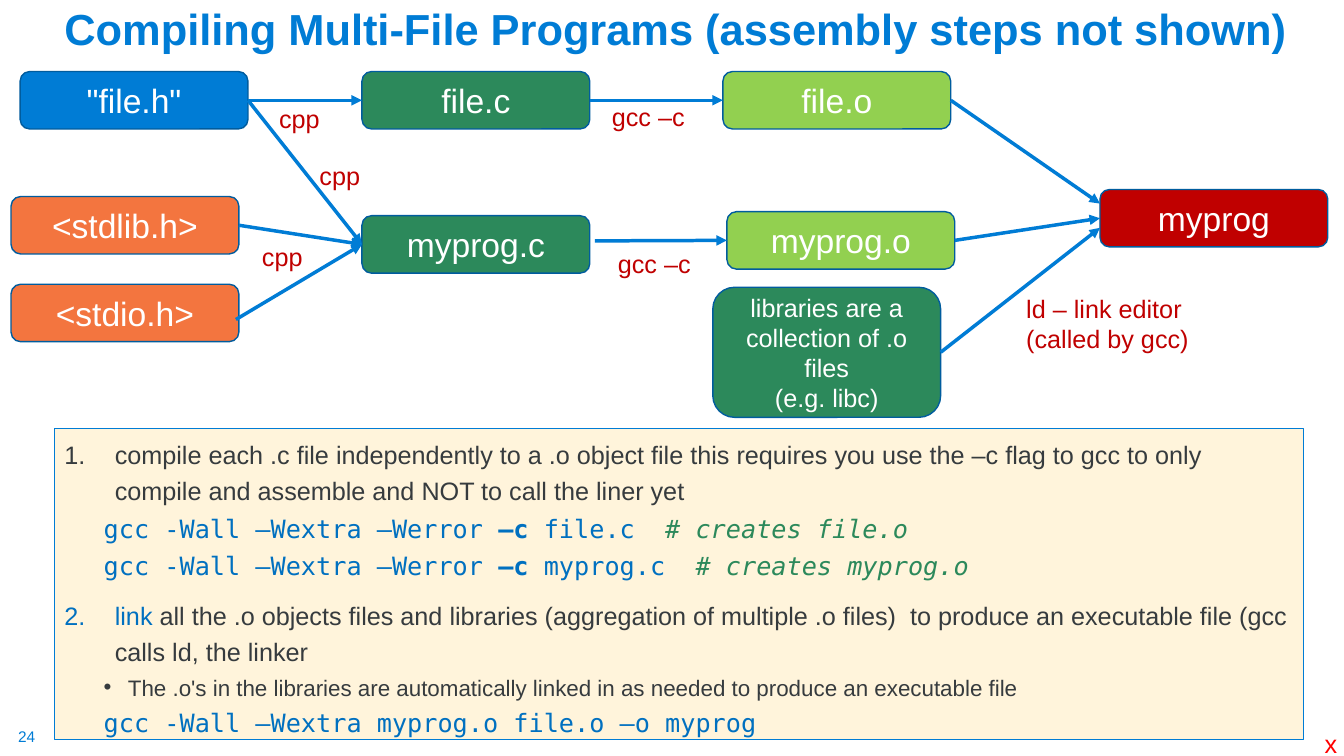
from dataclasses import dataclass
from lxml.etree import SubElement
from pptx import Presentation
from pptx.dml.color import RGBColor
from pptx.enum.shapes import MSO_CONNECTOR as Wire, MSO_SHAPE as Form
from pptx.enum.text import MSO_ANCHOR as Anchor, PP_ALIGN as Align
from pptx.oxml.ns import qn
from pptx.util import Inches, Pt


@dataclass(frozen=True)
class Theme:
    font: str = "Arial"
    mono: str = "DejaVu Sans Mono"
    blue: str = "007CD5"
    edge: str = "005C9E"
    code: str = "0070C0"
    green: str = "2C895B"
    lime: str = "92D050"
    orange: str = "F3753F"
    red: str = "C00000"
    alert: str = "FF0000"
    ink: str = "363B3E"
    cream: str = "FFF4DB"
    white: str = "FFFFFF"
    head: int = 31
    node: int = 24
    body: int = 18
    sub: int = 16
    page: int = 11


T = Theme()
WIDE, HIGH = 2.26, 0.57

TITLE = "Compiling Multi-File Programs (assembly steps not shown)"
# key: lines, left, top, height, fill, size
NODES = {
    "file.h": (['"file.h"'], 0.2, 0.71, HIGH, T.blue, T.node),
    "file.c": (["file.c"], 3.59, 0.71, HIGH, T.green, T.node),
    "file.o": (["file.o"], 7.17, 0.71, HIGH, T.lime, T.node),
    "stdlib": (["<stdlib.h>"], 0.11, 1.95, HIGH, T.orange, T.node),
    "stdio": (["<stdio.h>"], 0.11, 2.82, HIGH, T.orange, T.node),
    "myprog.c": (["myprog.c"], 3.59, 2.14, HIGH, T.green, T.node),
    "myprog.o": (["myprog.o"], 7.21, 2.1, HIGH, T.lime, T.node),
    "myprog": (["myprog"], 10.91, 1.88, HIGH, T.red, T.node),
    "libs": (["libraries are a", "collection of .o files", "(e.g. libc)"],
             7.07, 2.85, 1.29, T.green, T.body),
}
# each end is a node (right side to left side) or a free point
ARROWS = [
    ("file.h", "file.c"),
    ("file.h", "myprog.c"),
    ("stdlib", "myprog.c"),
    ((2.34, 3.17), "myprog.c"),
    ("file.c", "file.o"),
    ((5.9, 2.39), "myprog.o"),
    ("file.o", (10.91, 2.02)),
    ("myprog.o", "myprog"),
    ("libs", (10.91, 2.26)),
]
# lines, left, top, width, height, colour
LABELS = [
    (["cpp"], 2.67, 0.98, 0.61, 0.4, T.red),
    (["cpp"], 3.07, 1.54, 0.61, 0.4, T.red),
    (["cpp"], 2.5, 2.34, 0.61, 0.4, T.red),
    (["gcc –c"], 5.97, 0.96, 1, 0.4, T.red),
    (["gcc –c"], 6.03, 2.41, 1, 0.4, T.red),
    (["ld – link editor", "(called by gcc)"], 10.08, 2.86, 1.83, 0.71, T.red),
    (["x"], 13.04, 7.18, 0.33, 0.4, T.alert),
]
GCC = "gcc -Wall –Wextra –Werror "
# kind, runs of (text, style)
STEPS = [
    ("step", [("compile each .c file independently to a .o object file this "
               "requires you use the –c flag to gcc to only compile and "
               "assemble and NOT to call the liner yet", "plain")]),
    ("code", [(GCC, "code"), ("–c ", "flag"), ("file.c  ", "code"),
              ("# creates file.o", "note")]),
    ("code", [(GCC, "code"), ("–c ", "flag"), ("myprog.c  ", "code"),
              ("# creates myprog.o", "note")]),
    ("step", [("link", "code"),
              (" all the .o objects files and libraries (aggregation of "
               "multiple .o files)  to produce an executable file "
               "(gcc calls ld, the linker", "plain")]),
    ("point", [("The .o's in the libraries are automatically linked in as "
                "needed to produce an executable file", "plain")]),
    ("code", [("gcc -Wall –Wextra myprog.o file.o –o myprog", "code")]),
]
# margin, indent, level, line spacing, space before, font, size
KINDS = {
    "step": (0.5, -0.5, 0, 1.2, 10, T.font, T.body),
    "code": (0.39, 0, 1, 1.0, 5, T.mono, T.body),
    "point": (0.63, -0.24, 1, 1.0, 5, T.font, T.sub),
}
# colour, bold, italic
STYLES = {
    "plain": (T.ink, False, False),
    "code": (T.code, False, False),
    "flag": (T.code, True, False),
    "note": (T.green, False, True),
}


def rgb(code):
    return RGBColor.from_string(code)


def style(font, size, color, bold=False, name=T.font):
    font.name, font.size, font.bold = name, Pt(size), bold
    font.color.rgb = rgb(color)


def write(frame, lines, size, color, align=Align.LEFT, bold=False):
    frame.text = "\n".join(lines)
    for para in frame.paragraphs:
        para.alignment = align
        style(para.font, size, color, bold)


def panel(form, box, fill, edge, weight):
    shape = slide.shapes.add_shape(form, *map(Inches, box))
    shape.shadow.inherit = False
    shape.fill.solid()
    shape.fill.fore_color.rgb = rgb(fill)
    shape.line.color.rgb = rgb(edge)
    shape.line.width = Pt(weight)
    shape.text_frame.word_wrap = True
    return shape


def label(lines, box, size, color, bold=False, wrap=False):
    frame = slide.shapes.add_textbox(*map(Inches, box)).text_frame
    frame.word_wrap = wrap
    write(frame, lines, size, color, bold=bold)
    return frame


def arrow(start, end):
    free = [(0, 0) if isinstance(p, str) else p for p in (start, end)]
    line = slide.shapes.add_connector(
        Wire.STRAIGHT, *(Inches(n) for p in free for n in p))
    if isinstance(start, str):
        line.begin_connect(boxes[start], 3)
    if isinstance(end, str):
        line.end_connect(boxes[end], 1)
    line.line.color.rgb = rgb(T.blue)
    line.line.width = Pt(2.5)
    SubElement(line.line._get_or_add_ln(), qn("a:tailEnd"), type="triangle")
    SubElement(line._element.spPr, qn("a:effectLst"))


def fill_steps(frame):
    count = 0
    for i, (kind, runs) in enumerate(STEPS):
        left, indent, level, gap, before, name, size = KINDS[kind]
        para = frame.paragraphs[0] if i == 0 else frame.add_paragraph()
        para.alignment, para.level = Align.LEFT, level
        para.line_spacing = gap
        para.space_before = Pt(before if i else 0)
        props = para._p.get_or_add_pPr()
        props.set("marL", str(Inches(left)))
        props.set("indent", str(Inches(indent)))
        if kind == "step":
            count += 1
            SubElement(props, qn("a:buFont"), typeface=T.font)
            SubElement(props, qn("a:buAutoNum"), type="arabicPeriod",
                       startAt=str(count))
        elif kind == "point":
            SubElement(props, qn("a:buFont"), typeface=T.font)
            SubElement(props, qn("a:buChar"), char="•")
        else:
            SubElement(props, qn("a:buNone"))
        para.font.name, para.font.size = name, Pt(size)
        for text, look in runs:
            run = para.add_run()
            run.text = text
            color, run.font.bold, run.font.italic = STYLES[look]
            run.font.color.rgb = rgb(color)


deck = Presentation()
deck.slide_width, deck.slide_height = Inches(13.33), Inches(7.5)
slide = deck.slides.add_slide(deck.slide_layouts[6])

page = label(["24"], (0.18, 7.21, 0.19, 0.19), T.page, T.blue)
page.margin_left = page.margin_right = page.margin_top = page.margin_bottom = 0

steps = panel(Form.RECTANGLE, (0.54, 4.25, 12.39, 3.09), T.cream, T.blue, 0.75)
steps.text_frame.vertical_anchor = Anchor.TOP
fill_steps(steps.text_frame)

title = label([TITLE], (0.54, 0.09, 12.39, 0.5), T.head, T.blue, True, True)
title.vertical_anchor = Anchor.BOTTOM
title.paragraphs[0].line_spacing = 0.9

boxes = {}
for key, (lines, left, top, high, fill, size) in NODES.items():
    boxes[key] = panel(Form.ROUNDED_RECTANGLE, (left, top, WIDE, high),
                       fill, T.edge, 1)
    boxes[key].text_frame.vertical_anchor = Anchor.MIDDLE
    write(boxes[key].text_frame, lines, size, T.white, Align.CENTER)
for start, end in ARROWS:
    arrow(start, end)
for lines, *box, color in LABELS:
    label(lines, box, T.body, color)

deck.save("out.pptx")
